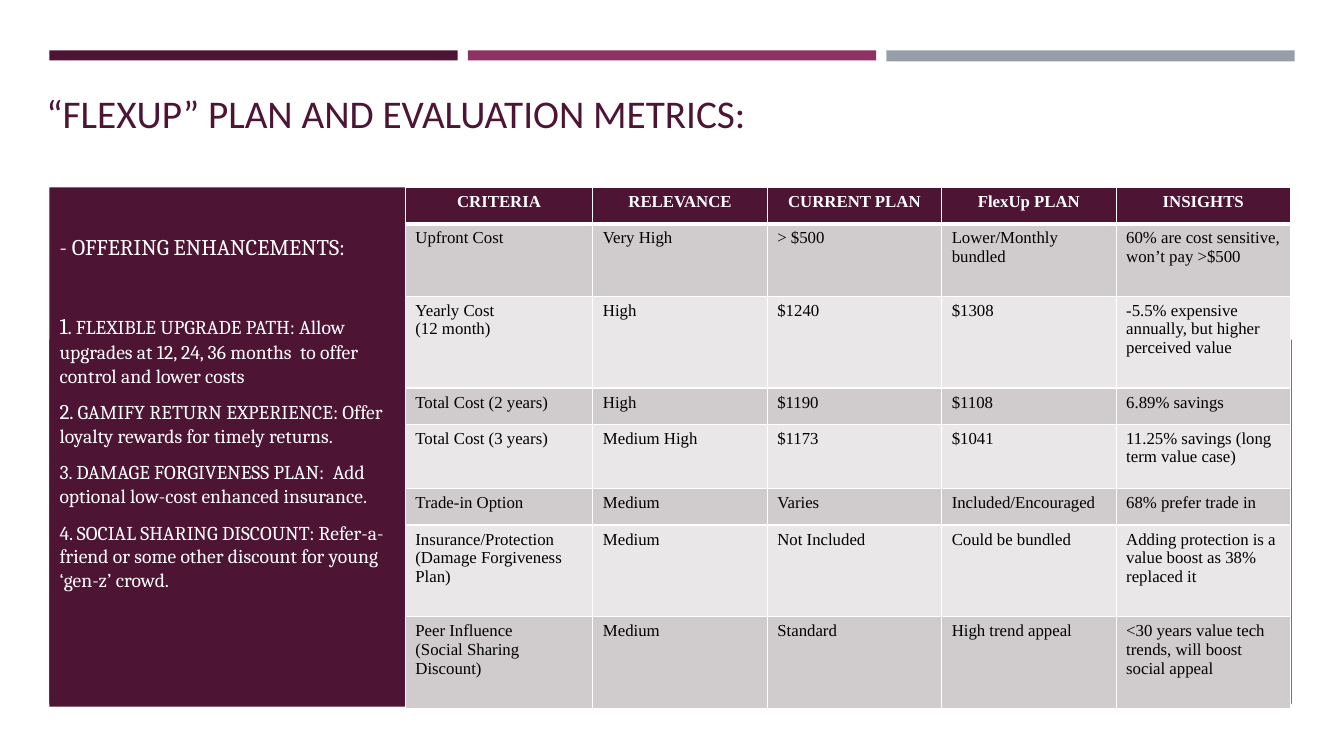
import pptx
import pptx.util
import pptx.dml.color
import pptx.enum.shapes
import pptx.enum.text
import lxml.etree
import pptx.oxml.ns

PX = 9144  # 100 px to the inch
PLUM, ROSE, GREY, WHITE, BLACK = "4D1434", "903163", "969FA7", "FFFFFF", "000000"
BANDS = ["D0CCCE", "E9E7E8"]
Pt = pptx.util.Pt
qn = pptx.oxml.ns.qn
ALIGN = pptx.enum.text.PP_ALIGN
ANCHOR = pptx.enum.text.MSO_ANCHOR


def paint(item, color):
    """Give a fill or a font a solid colour from a hex string."""
    if hasattr(item, "solid"):
        item.solid()
        item = item.fore_color
    else:
        item = item.color
    item.rgb = pptx.dml.color.RGBColor.from_string(color)


def style(item, look):
    """Set each named format value on an object."""
    for name, value in look.items():
        setattr(item, name, value)


deck = pptx.Presentation()
deck.slide_width, deck.slide_height = 1333 * PX, 750 * PX
slide = deck.slides.add_slide(deck.slide_layouts[1])
shapes = slide.shapes

# Bars behind everything
bars = [
    (49, 50, 405, 10, PLUM),
    (464, 50, 405, 10, ROSE),
    (879, 50, 405, 11, GREY),
    (49, 337, 1232, 361, PLUM),
]
for spot, (*box, color) in enumerate(bars, 2):
    bar = shapes.add_shape(pptx.enum.shapes.MSO_SHAPE.RECTANGLE, *[n * PX for n in box])
    bar.shadow.inherit = False
    paint(bar.fill, color)
    bar.line.fill.background()
    shapes.element.insert(spot, bar.element)

# Title
title = shapes.title
style(title, dict(left=36 * PX, top=75 * PX, width=1202 * PX, height=65 * PX))
frame = title.text_frame
frame.text = "“FLEXUP” PLAN AND EVALUATION METRICS:"
style(frame, dict(vertical_anchor=ANCHOR.BOTTOM, word_wrap=True,
                  auto_size=pptx.enum.text.MSO_AUTO_SIZE.NONE))
para = frame.paragraphs[0]
para.alignment = ALIGN.LEFT
font = para.runs[0].font
style(font, dict(name="Calibri", size=Pt(28)))
paint(font, PLUM)

# Side panel: each paragraph is a list of (text, size)
offers = [
    [("- OFFERING ENHANCEMENTS:", 16)],
    [("1", 16), (". ", 15), ("FLEXIBLE UPGRADE PATH: Allow upgrades at 12, 24, 36 months  "
                             "to offer control and lower costs", 14)],
    [("2. ", 15), ("GAMIFY RETURN EXPERIENCE: Offer loyalty rewards for timely returns.", 14)],
    [("3. DAMAGE FORGIVENESS PLAN:  Add optional low-cost enhanced insurance.", 14)],
    [("4. SOCIAL SHARING DISCOUNT: Refer-a-friend or some other discount "
      "for young ‘gen-z’ crowd.", 14)],
]
panel = slide.placeholders[1]
style(panel, dict(left=49 * PX, top=186 * PX, width=353 * PX, height=515 * PX))
paint(panel.fill, PLUM)
frame = panel.text_frame
style(frame, dict(margin_top=48 * PX, vertical_anchor=ANCHOR.TOP, word_wrap=True,
                  auto_size=pptx.enum.text.MSO_AUTO_SIZE.NONE))
for i, offer in enumerate(offers):
    para = frame.add_paragraph() if i else frame.paragraphs[0]
    style(para, dict(alignment=ALIGN.LEFT, line_spacing=Pt(17),
                     space_before=Pt(34 if i == 1 else 3), space_after=Pt(6)))
    props = para._p.get_or_add_pPr()
    props.set("marL", "0")
    props.set("indent", "0")
    lxml.etree.SubElement(props, qn("a:buNone"))
    for text, size in offer:
        run = para.add_run()
        run.text = text
        style(run.font, dict(name="Cambria", size=Pt(size)))
        paint(run.font, WHITE)

# Metrics table
rows = [
    ["CRITERIA", "RELEVANCE", "CURRENT PLAN", "FlexUp PLAN", "INSIGHTS"],
    ["Upfront Cost", "Very High", "> $500", "Lower/Monthly bundled",
     "60% are cost sensitive, won’t pay >$500"],
    ["Yearly Cost\n(12 month)", "High", "$1240", "$1308",
     "-5.5% expensive annually, but higher perceived value"],
    ["Total Cost (2 years)", "High", "$1190", "$1108", "6.89% savings"],
    ["Total Cost (3 years)", "Medium High", "$1173", "$1041",
     "11.25% savings (long term value case)"],
    ["Trade-in Option", "Medium", "Varies", "Included/Encouraged", "68% prefer trade in"],
    ["Insurance/Protection\n(Damage Forgiveness Plan)", "Medium", "Not Included",
     "Could be bundled", "Adding protection is a value boost as 38% replaced it"],
    ["Peer Influence\n(Social Sharing Discount)", "Medium", "Standard", "High trend appeal",
     "<30 years value tech trends, will boost social appeal"],
]
highs = [36, 72, 91, 36, 64, 36, 91, 91]
wides = [186] + [173] * 4
table = shapes.add_table(len(rows), len(wides), 402 * PX, 186 * PX,
                         sum(wides) * PX, sum(highs) * PX).table
table.horz_banding = False
for col, wide in zip(table.columns, wides):
    col.width = wide * PX
for r, (texts, high) in enumerate(zip(rows, highs)):
    table.rows[r].height = high * PX
    head = r == 0
    for c, text in enumerate(texts):
        cell = table.cell(r, c)
        cell.text = text
        props = cell._tc.get_or_add_tcPr()
        for side in "LRTB":
            thick = 3 if head and side == "B" else 1
            edge = lxml.etree.SubElement(props, qn("a:ln" + side), w=str(Pt(thick)))
            solid = lxml.etree.SubElement(edge, qn("a:solidFill"))
            lxml.etree.SubElement(solid, qn("a:srgbClr"), val=WHITE)
        paint(cell.fill, PLUM if head else BANDS[(r - 1) % 2])
        for para in cell.text_frame.paragraphs:
            para.alignment = ALIGN.CENTER if head else ALIGN.LEFT
            font = para.runs[0].font
            style(font, dict(name="Times New Roman", size=Pt(12), bold=head))
            paint(font, WHITE if head else BLACK)

deck.save("out.pptx")
